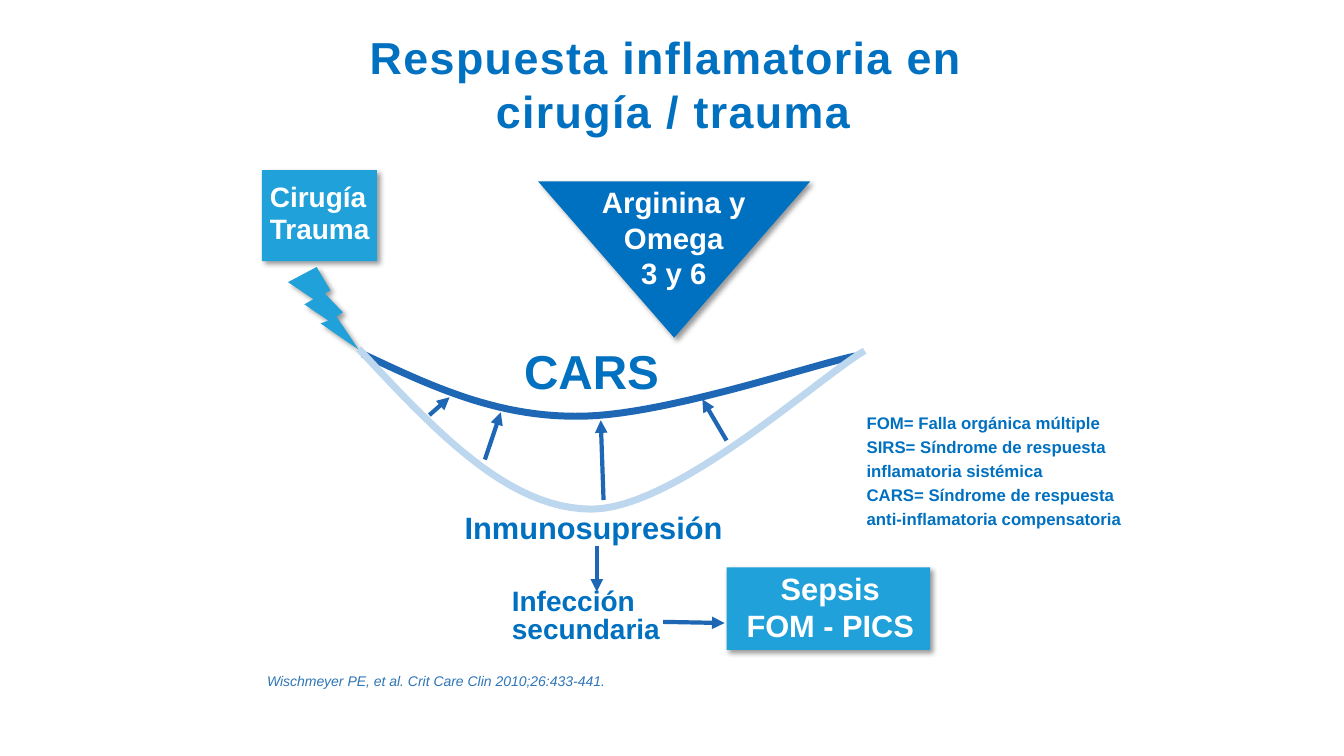
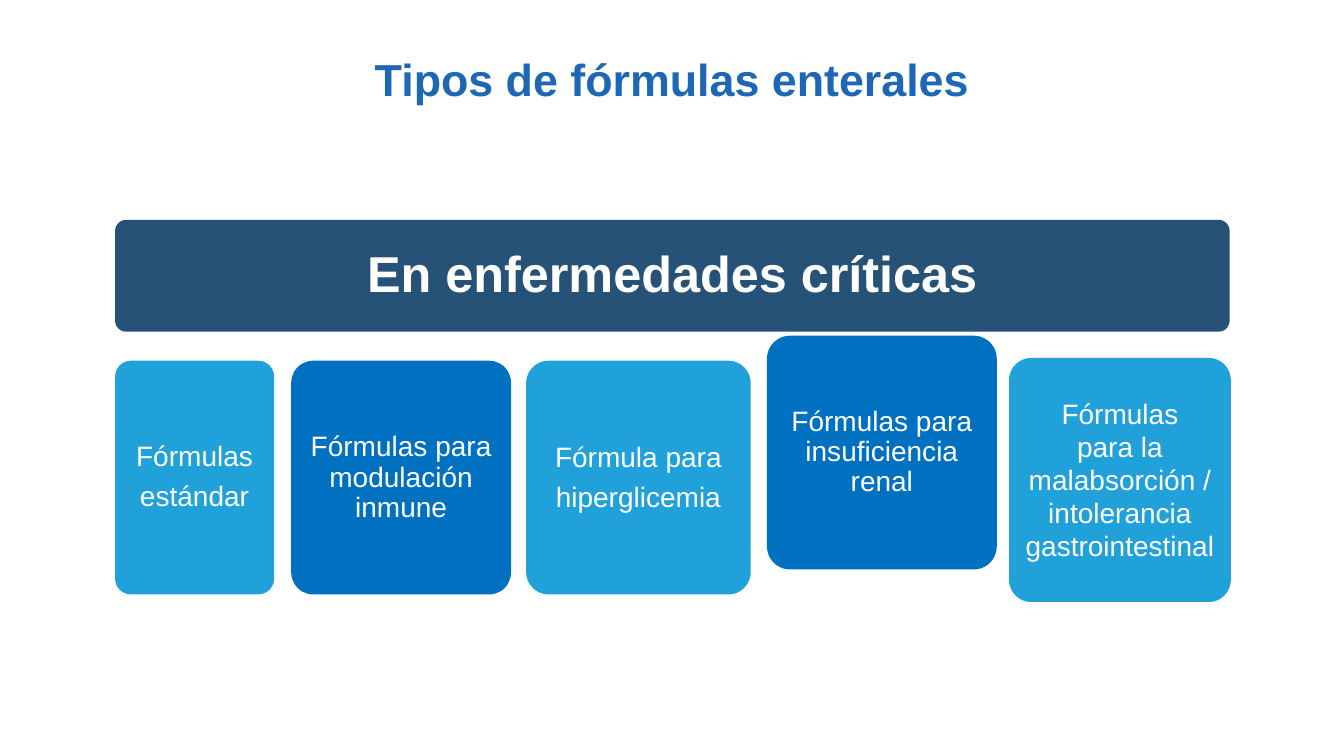
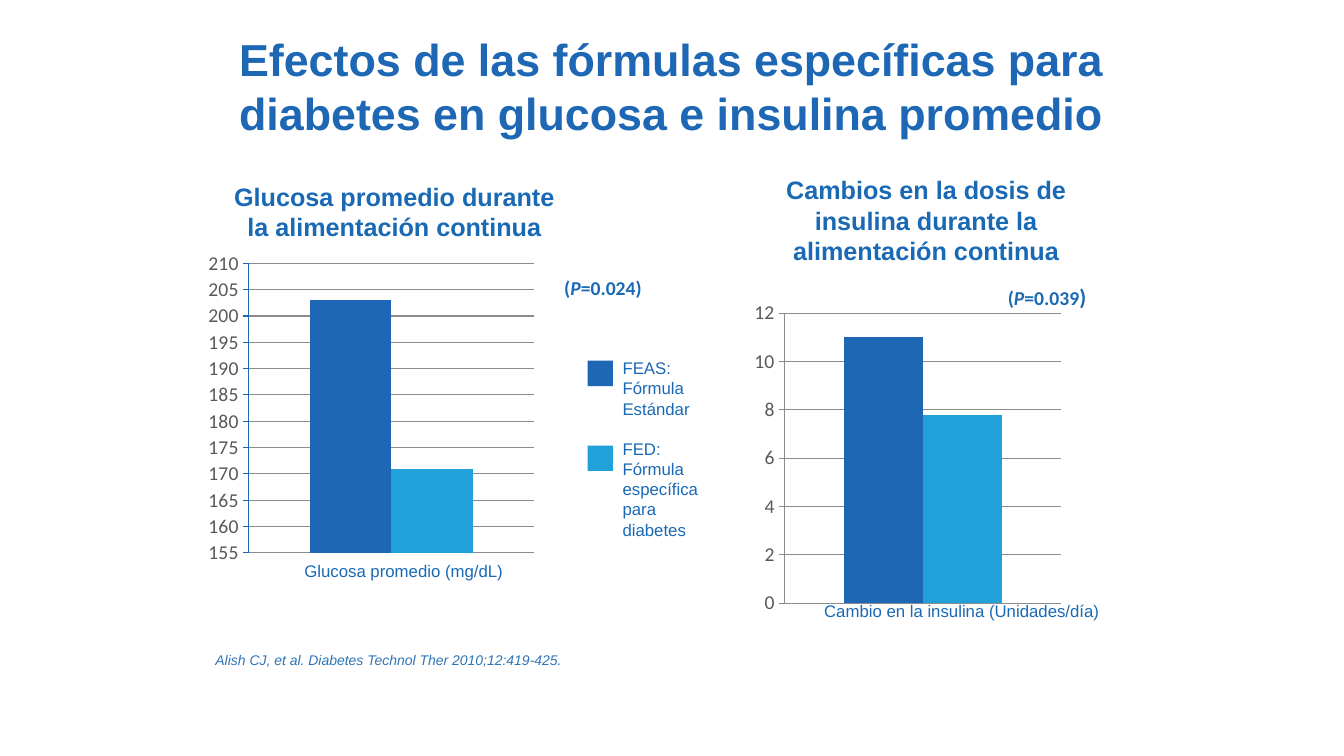
"""Build three slides on surgical inflammation and enteral formulas."""
from dataclasses import dataclass
from typing import Any, NamedTuple, Optional, Sequence

import lxml.etree
import pptx
import pptx.chart.data
import pptx.dml.color
import pptx.enum.chart
import pptx.enum.shapes
import pptx.enum.text
import pptx.oxml.ns
import pptx.util

Cm = pptx.util.Cm
Pt = pptx.util.Pt
SHAPES = pptx.enum.shapes.MSO_SHAPE
ALIGN = pptx.enum.text.PP_ALIGN
ANCHOR = pptx.enum.text.MSO_ANCHOR

WHITE = "FFFFFF"
BLUE = "0070C0"
ROYAL = "1D67B4"
LABEL = "1969B5"
SKY = "21A1D9"
PALE = "BDD7EE"
NAVY = "265278"
CITATION_BLUE = "2E75B6"
AXIS_TEXT = "595959"
GRID = "8C8C8C"


class Area(NamedTuple):
    left: float
    top: float
    width: float
    height: float

    def lengths(self) -> list[int]:
        return [Cm(value) for value in self]


class Point(NamedTuple):
    x: float
    y: float


@dataclass(frozen=True)
class Style:
    size: float
    color: str
    bold: bool = False
    italic: bool = False
    font: str = "Arial"
    align: Any = ALIGN.LEFT
    leading: Optional[Any] = None
    gap: float = 0
    tracking: float = 0


@dataclass(frozen=True)
class Arrow:
    start: Point
    end: Point


@dataclass(frozen=True)
class Card:
    area: Area
    fill: str
    lines: Sequence[str]
    leading: Any = 0.9


@dataclass(frozen=True)
class BarPanel:
    area: Area
    values: Sequence[float]
    minimum: float
    maximum: float
    step: float
    axis_color: str


CITATION = Style(10, CITATION_BLUE, italic=True)
HEADING = Style(18, LABEL, bold=True, align=ALIGN.CENTER)
CAPTION = Style(12, LABEL)
PROBABILITY = Style(14, LABEL, bold=True, font="Calibri")
TIGHT = (0, 0, 0.1, 0)
NORMAL = (0.25, 0.13, 0.25, 0.13)


def rgb(color: str) -> pptx.dml.color.RGBColor:
    """Turn a hex string into a colour."""
    return pptx.dml.color.RGBColor.from_string(color)


def style_paragraph(para: Any, style: Style) -> None:
    """Apply a text style to a whole paragraph."""
    para.alignment = style.align
    if style.leading is not None:
        para.line_spacing = style.leading
    font = para.font
    font.name, font.size = style.font, Pt(style.size)
    font.bold, font.italic = style.bold, style.italic
    font.color.rgb = rgb(style.color)
    if style.tracking:
        font._element.set("spc", str(int(style.tracking * 100)))


def write(frame: Any, lines: Sequence[str], style: Style) -> None:
    """Fill a text frame with one paragraph for each line."""
    for index, line in enumerate(lines):
        para = frame.add_paragraph() if index else frame.paragraphs[0]
        para.text = line
        if index and style.gap:
            para.space_before = Pt(style.gap)
        style_paragraph(para, style)


def set_frame(frame: Any, insets: Sequence[float], anchor: Any, wrap: bool = True) -> None:
    """Set the margins, anchor and wrapping of a text frame."""
    frame.margin_left, frame.margin_top, frame.margin_right, frame.margin_bottom = map(Cm, insets)
    frame.vertical_anchor = anchor
    frame.word_wrap = wrap


def add_title(page: Any, area: Area, lines: Sequence[str], color: str, tracking: float = 0) -> None:
    """Place and format the title placeholder."""
    title = page.shapes.title
    title.left, title.top, title.width, title.height = area.lengths()
    title.text_frame.auto_size = pptx.enum.text.MSO_AUTO_SIZE.NONE
    set_frame(title.text_frame, NORMAL, ANCHOR.MIDDLE)
    write(title.text_frame, lines, Style(32, color, bold=True, align=ALIGN.CENTER, tracking=tracking))


def add_text(page: Any, area: Area, lines: Sequence[str], style: Style,
             insets: Sequence[float] = NORMAL, wrap: bool = True) -> Any:
    """Add a text box and return its frame."""
    frame = page.shapes.add_textbox(*area.lengths()).text_frame
    set_frame(frame, insets, ANCHOR.TOP, wrap)
    write(frame, lines, style)
    return frame


def paint(shape: Any, fill: str, shadow: bool = False) -> None:
    """Give a shape a plain fill, no outline and an optional soft shadow."""
    shape.fill.solid()
    shape.fill.fore_color.rgb = rgb(fill)
    shape.line.fill.background()
    shape.shadow.inherit = False
    if shadow:
        qn = pptx.oxml.ns.qn
        effects = shape._element.spPr.find(qn("a:effectLst"))
        outer = lxml.etree.SubElement(effects, qn("a:outerShdw"), blurRad=str(Pt(4)),
                                      dist=str(Pt(3)), dir="2700000", algn="tl", rotWithShape="0")
        tint = lxml.etree.SubElement(outer, qn("a:srgbClr"), val="000000")
        lxml.etree.SubElement(tint, qn("a:alpha"), val="40000")


def add_box(page: Any, kind: Any, area: Area, fill: str, shadow: bool = False) -> Any:
    """Add a painted preset shape."""
    box = page.shapes.add_shape(kind, *area.lengths())
    paint(box, fill, shadow)
    return box


def add_outline(page: Any, points: Sequence[Point], close: bool) -> Any:
    """Add a freeform through the given points."""
    corners = [(Cm(point.x), Cm(point.y)) for point in points]
    builder = page.shapes.build_freeform(*corners[0])
    builder.add_line_segments(corners[1:], close=close)
    return builder.convert_to_shape()


def trace(controls: Sequence[Point], steps: int = 24) -> list[Point]:
    """Sample a chain of cubic curves that share end points."""
    points = [controls[0]]
    for first in range(0, len(controls) - 1, 3):
        segment = controls[first:first + 4]
        for step in range(1, steps + 1):
            t = step / steps
            weights = ((1 - t) ** 3, 3 * t * (1 - t) ** 2, 3 * t * t * (1 - t), t ** 3)
            points.append(Point(sum(w * p.x for w, p in zip(weights, segment)),
                                sum(w * p.y for w, p in zip(weights, segment))))
    return points


def add_curve(page: Any, controls: Sequence[Point], color: str) -> None:
    """Draw a thick open curve."""
    curve = add_outline(page, trace(controls), close=False)
    curve.fill.background()
    curve.line.color.rgb = rgb(color)
    curve.line.width = Pt(5)
    curve.shadow.inherit = False


def add_arrow(page: Any, arrow: Arrow) -> None:
    """Draw a straight arrow."""
    ends = [Cm(value) for value in (*arrow.start, *arrow.end)]
    line = page.shapes.add_connector(pptx.enum.shapes.MSO_CONNECTOR.STRAIGHT, *ends)
    line.line.color.rgb = rgb(ROYAL)
    line.line.width = Pt(3)
    qn = pptx.oxml.ns.qn
    lxml.etree.SubElement(line.line._get_or_add_ln(), qn("a:tailEnd"), type="triangle")
    lxml.etree.SubElement(line._element.spPr, qn("a:effectLst"))


def add_bars(page: Any, panel: BarPanel) -> None:
    """Add a two-column chart without a category axis."""
    data = pptx.chart.data.CategoryChartData()
    data.categories = ["1"]
    for number, value in enumerate(panel.values, 1):
        data.add_series(f"Series {number}", [value])
    kind = pptx.enum.chart.XL_CHART_TYPE.COLUMN_CLUSTERED
    chart = page.shapes.add_chart(kind, *panel.area.lengths(), data).chart
    chart.has_legend = chart.has_title = False
    chart.font.name, chart.font.size = "Calibri", Pt(18)
    chart.category_axis.visible = False
    axis = chart.value_axis
    axis.minimum_scale, axis.maximum_scale = panel.minimum, panel.maximum
    axis.major_unit = panel.step
    axis.major_tick_mark = pptx.enum.chart.XL_TICK_MARK.OUTSIDE
    axis.tick_labels.font.size = Pt(14)
    axis.tick_labels.font.color.rgb = rgb(AXIS_TEXT)
    for line, color in ((axis.format.line, panel.axis_color),
                        (axis.major_gridlines.format.line, GRID)):
        line.color.rgb = rgb(color)
        line.width = Pt(0.75)
    plot = chart.plots[0]
    plot.gap_width, plot.overlap, plot.vary_by_categories = 150, 0, False
    for series, color in zip(plot.series, (ROYAL, SKY)):
        series.format.fill.solid()
        series.format.fill.fore_color.rgb = rgb(color)


def add_probability(page: Any, area: Area, value: str, closing_size: float) -> None:
    """Add a bracketed P value with an italic letter."""
    frame = add_text(page, area, ["("], PROBABILITY)
    para = frame.paragraphs[0]
    letter, number, closing = (para.add_run() for _ in range(3))
    letter.text, number.text, closing.text = "P", f"={value}", ")"
    letter.font.italic = True
    if closing_size != PROBABILITY.size:
        closing.font.size = Pt(closing_size)


def build_response(page: Any) -> None:
    """Draw the inflammatory response diagram."""
    add_title(page, Area(5.66, 0.74, 22.61, 2.74),
              ["Respuesta inflamatoria en \vcirugía / trauma"], BLUE, tracking=1)
    bolt = [Point(7.98, 6.73), Point(7.26, 7.11), Point(7.9, 7.54), Point(7.67, 7.67),
            Point(8.28, 8.08), Point(8.08, 8.15), Point(9.04, 8.81), Point(8.48, 7.98),
            Point(8.64, 7.87), Point(8.18, 7.39), Point(8.33, 7.32)]
    paint(add_outline(page, bolt, close=True), SKY, shadow=True)

    trauma = add_box(page, SHAPES.RECTANGLE, Area(6.6, 4.29, 2.9, 2.29), SKY, shadow=True)
    set_frame(trauma.text_frame, (0.2, 0, 0, 0.15), ANCHOR.MIDDLE)
    write(trauma.text_frame, ["Cirugía", "Trauma"], Style(20, WHITE, bold=True, leading=Pt(23)))

    for arrow in (Arrow(Point(15.21, 12.6), Point(15.14, 10.59)),
                  Arrow(Point(10.82, 10.46), Point(11.33, 10.01)),
                  Arrow(Point(12.22, 11.58), Point(12.62, 10.39)),
                  Arrow(Point(18.31, 11.1), Point(17.7, 10.06)),
                  Arrow(Point(15.04, 13.77), Point(15.04, 14.91)),
                  Arrow(Point(16.71, 15.67), Point(18.26, 15.7))):
        add_arrow(page, arrow)

    add_text(page, Area(12.9, 14.82, 4.3, 1.5), ["Infección", "secundaria"],
             Style(20, BLUE, bold=True, leading=Pt(20.5)), TIGHT)
    sepsis = add_box(page, SHAPES.RECTANGLE, Area(18.31, 14.3, 5.13, 2.08), SKY, shadow=True)
    set_frame(sepsis.text_frame, (0.1, 0, 0, 0.1), ANCHOR.MIDDLE)
    write(sepsis.text_frame, ["Sepsis", "FOM - PICS"],
          Style(22, WHITE, bold=True, align=ALIGN.CENTER))

    add_curve(page, [Point(9.14, 8.92), Point(10.8, 9.7), Point(12.45, 10.49), Point(14.5, 10.49),
                     Point(16.59, 10.52), Point(20.37, 9.22), Point(21.56, 8.97)], ROYAL)
    add_box(page, SHAPES.FLOWCHART_MERGE, Area(13.56, 4.57, 6.86, 3.94), BLUE, shadow=True)
    add_text(page, Area(15.01, 4.65, 3.94, 2.84), ["Arginina y", "Omega", "3 y 6"],
             Style(21, WHITE, bold=True, align=ALIGN.CENTER), (0.1, 0, 0.1, 0))
    add_curve(page, [Point(9.04, 8.79), Point(10.92, 10.8), Point(12.78, 12.83),
                     Point(14.91, 12.83), Point(17.02, 12.83), Point(20.65, 9.5),
                     Point(21.79, 8.84)], PALE)
    add_text(page, Area(13.21, 8.61, 3.56, 1.45), ["CARS"], Style(34, BLUE, bold=True),
             TIGHT, wrap=False)
    add_text(page, Area(10.11, 12.7, 9.7, 1.19), ["Inmunosupresión"],
             Style(22, BLUE, bold=True, align=ALIGN.CENTER))
    add_text(page, Area(6.48, 16.81, 13.94, 0.69),
             ["Wischmeyer PE, et al. Crit Care Clin 2010;26:433-441."], CITATION)
    add_text(page, Area(21.59, 10.16, 8, 3.25),
             ["FOM= Falla orgánica múltiple",
              "SIRS= Síndrome de respuesta\vinflamatoria sistémica",
              "CARS= Síndrome de respuesta\vanti-inflamatoria compensatoria"],
             Style(12, BLUE, bold=True, leading=Pt(17.2)))


def build_formulas(page: Any) -> None:
    """Draw the formula types under their banner."""
    add_title(page, Area(4.24, 0.71, 25.4, 2.54), ["Tipos de fórmulas enterales"], ROYAL)
    banner = add_box(page, SHAPES.ROUNDED_RECTANGLE, Area(2.9, 5.54, 28.09, 2.82), NAVY)
    banner.adjustments[0] = 0.1
    set_frame(banner.text_frame, (0.38,) * 4, ANCHOR.MIDDLE)
    write(banner.text_frame, ["En enfermedades críticas"],
          Style(36, WHITE, bold=True, align=ALIGN.CENTER, leading=0.9))

    cards = (
        Card(Area(2.9, 9.09, 4.01, 5.89), SKY, ["Fórmulas", "estándar"]),
        Card(Area(7.34, 9.09, 5.54, 5.89), BLUE, ["Fórmulas para modulación inmune"], Pt(21.6)),
        Card(Area(13.26, 9.09, 5.66, 5.89), SKY, ["Fórmula para", "hiperglicemia"], Pt(21.6)),
        Card(Area(19.33, 8.46, 5.79, 5.89), BLUE, ["Fórmulas para insuficiencia renal"]),
        Card(Area(25.43, 9.02, 5.59, 6.15), SKY,
             ["Fórmulas\vpara la\vmalabsorción / intolerancia\vgastrointestinal"], Pt(23.6)),
    )
    for card in cards:
        box = add_box(page, SHAPES.ROUNDED_RECTANGLE, card.area, card.fill)
        box.adjustments[0] = 0.1
        set_frame(box.text_frame, (0.2,) * 4, ANCHOR.MIDDLE)
        write(box.text_frame, card.lines,
              Style(20, WHITE, align=ALIGN.CENTER, leading=card.leading, gap=7))


def build_effects(page: Any) -> None:
    """Draw the glucose and insulin charts."""
    add_title(page, Area(4.44, 0.03, 24.97, 4.24),
              ["Efectos de las fórmulas específicas para",
               "diabetes en glucosa e insulina promedio"], ROYAL)
    add_bars(page, BarPanel(Area(5.08, 6.17, 8.56, 8.23), (203, 171), 155, 210, 5, ROYAL))
    add_bars(page, BarPanel(Area(18.85, 7.42, 8.05, 8.25), (11, 7.8), 0, 12, 2, GRID))
    for area, text, style in (
        (Area(5.18, 16.28, 19.89, 0.69),
         "Alish CJ, et al. Diabetes Technol Ther 2010;12:419-425.", CITATION),
        (Area(5.38, 4.44, 9.12, 1.8), "Glucosa promedio durante\vla alimentación continua", HEADING),
        (Area(18.36, 4.27, 9.96, 2.57),
         "Cambios en la dosis de insulina durante la alimentación continua", HEADING),
        (Area(7.42, 14, 5.72, 1.27), "Glucosa promedio (mg/dL)", CAPTION),
        (Area(20.52, 15.01, 8.53, 1.27), "Cambio en la insulina (Unidades/día)", CAPTION),
    ):
        add_text(page, area, [text], style)
    add_probability(page, Area(13.97, 6.83, 3.63, 0.86), "0.024", 14)
    add_probability(page, Area(25.15, 7.01, 4.5, 0.94), "0.039", 16)

    legend = add_text(page, Area(15.44, 8.89, 2.97, 5.38),
                      ["FEAS: Fórmula", "Estándar", "FED: Fórmula específica", "para", "diabetes"],
                      CAPTION)
    legend.paragraphs[2].space_before = Pt(14.5)
    for top, color in ((9.09, ROYAL), (11.23, SKY)):
        add_box(page, SHAPES.RECTANGLE, Area(14.81, top, 0.64, 0.64), color)


def main() -> None:
    """Build and save the deck."""
    deck = pptx.Presentation()
    deck.slide_width, deck.slide_height = Cm(33.87), Cm(19.05)
    title_only = deck.slide_layouts.get_by_name("Title Only")
    for build in (build_response, build_formulas, build_effects):
        build(deck.slides.add_slide(title_only))
    deck.save("out.pptx")


if __name__ == "__main__":
    main()
